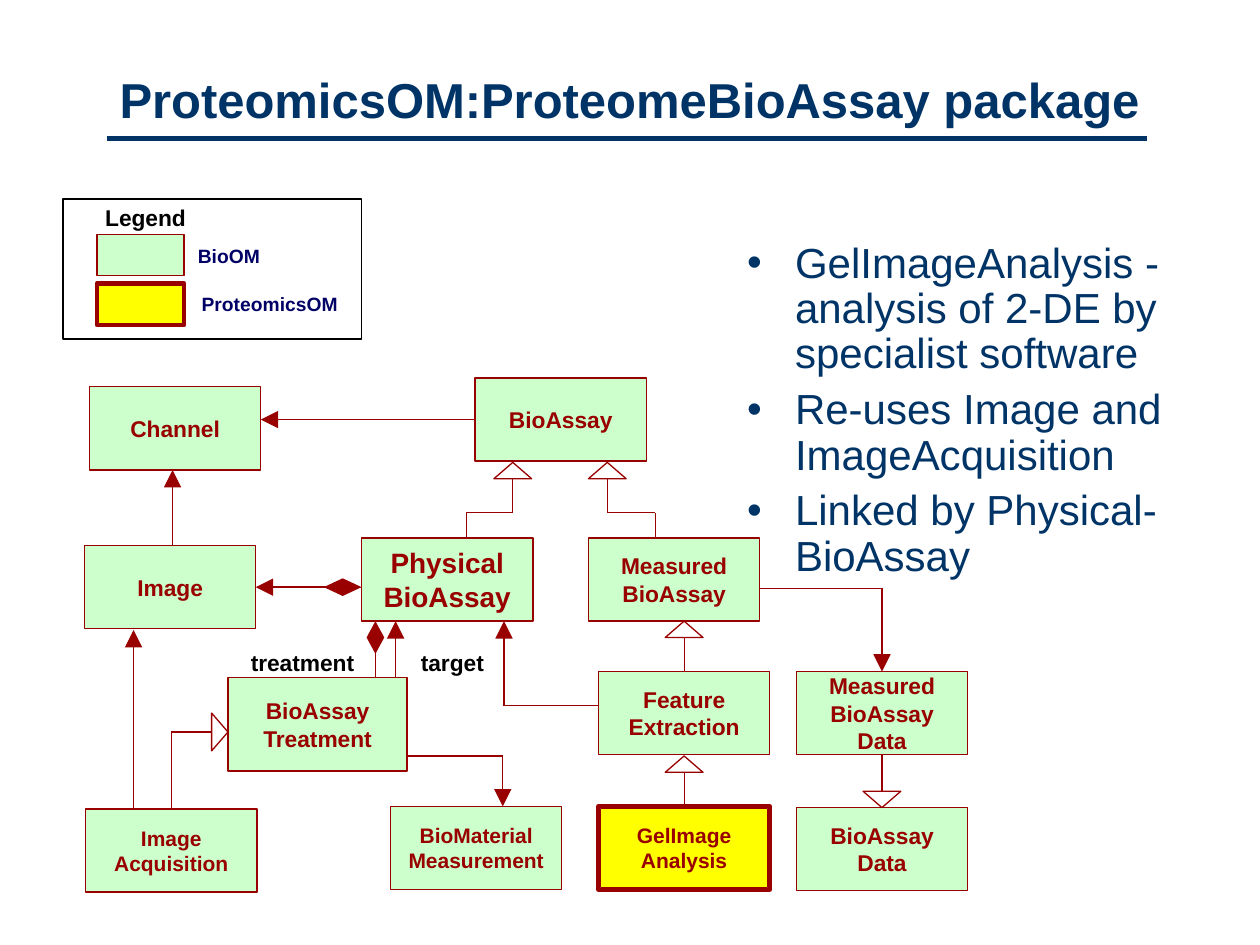
"""Build the ProteomeBioAssay package slide with its class diagram."""
from itertools import pairwise

from lxml import etree
from pptx import Presentation
from pptx.dml.color import RGBColor
from pptx.enum import shapes, text
from pptx.oxml.ns import qn
from pptx.util import Inches, Pt

COLORS = {"navy": "003366", "label": "000066", "red": "990000", "green": "CCFFCC",
          "yellow": "FFFF00", "black": "000000"}
TITLE = "ProteomicsOM:ProteomeBioAssay package"
BULLETS = ["GelImageAnalysis - analysis of 2-DE by specialist software",
           "Re-uses Image and ImageAcquisition",
           "Linked by Physical-BioAssay"]
BOX_W, BOX_H = 1.36, 0.66
CLASSES = [
    ("Channel", 0.71, 3.07, {}),
    ("BioAssay", 3.77, 3.0, {}),
    ("Image", 0.67, 4.33, {}),
    ("Physical BioAssay", 2.87, 4.27, {"size": 16}),
    ("Measured BioAssay", 4.67, 4.27, {}),
    ("BioAssay Treatment", 1.81, 5.38, {"w": 1.42, "h": 0.74}),
    ("Feature Extraction", 4.75, 5.33, {}),
    ("Measured BioAssay\nData", 6.32, 5.33, {}),
    ("Image Acquisition", 0.68, 6.42, {"size": 12}),
    ("BioMaterial Measurement", 3.1, 6.4, {"size": 12}),
    ("GelImage Analysis", 4.75, 6.4, {"size": 12, "fill": "yellow", "line": 2.75}),
    ("BioAssay Data", 6.32, 6.41, {}),
]
LEGEND = [("BioOM", 1.86, "green", 0.75, (1.56, 1.9, 0.52, 0.26)),
          ("ProteomicsOM", 2.25, "yellow", 2.75, (1.59, 2.28, 1.11, 0.26))]
ROLES = [("target", (3.25, 5.11, 0.67, 0.3)), ("treatment", (1.9, 5.11, 0.99, 0.3))]
INHERITANCE = [
    [(3.7, 4.27), (3.7, 4.07), (4.07, 4.07), (4.07, 3.8)],
    [(5.2, 4.27), (5.2, 4.07), (4.82, 4.07), (4.82, 3.8)],
    [(5.43, 5.33), (5.43, 5.06)],
    [(5.43, 6.4), (5.43, 6.13)],
    [(7.0, 5.99), (7.0, 6.28)],
    [(1.36, 6.42), (1.36, 5.81), (1.68, 5.81)],
]
ASSOCIATIONS = [
    [(3.77, 3.33), (2.07, 3.33)],
    [(1.37, 4.33), (1.37, 3.73)],
    [(2.72, 4.66), (2.03, 4.66)],
    [(1.06, 6.42), (1.06, 5.0)],
    [(3.14, 5.38), (3.14, 4.93)],
    [(4.75, 5.6), (4.0, 5.6), (4.0, 4.93)],
    [(6.03, 4.67), (7.0, 4.67), (7.0, 5.33)],
    [(3.23, 6.0), (3.99, 6.0), (3.99, 6.4)],
]
COMPOSITION = [(2.98, 5.38), (2.98, 5.14)]
DIAMONDS = [(2.72, 4.66, 0.15, 0.07), (2.98, 5.06, 0.07, 0.13)]
HEAD_LENGTH, HEAD_HALF = 0.13, 0.15


def rgb(name):
    return RGBColor.from_string(COLORS[name])


def inches(values):
    return [Inches(v) for v in values]


def write(s, value, size=13, color="red", bold=True, align=text.PP_ALIGN.CENTER,
          anchor=text.MSO_ANCHOR.MIDDLE, wrap=True, inset=(0.09, 0.02)):
    tf = s.text_frame
    tf.text = value
    tf.word_wrap, tf.auto_size, tf.vertical_anchor = wrap, text.MSO_AUTO_SIZE.NONE, anchor
    tf.margin_left = tf.margin_right = Inches(inset[0])
    tf.margin_top = tf.margin_bottom = Inches(inset[1])
    for p in tf.paragraphs:
        p.alignment = align
        for r in p.runs:
            r.font.name, r.font.size, r.font.bold = "Arial", Pt(size), bold
            r.font.color.rgb = rgb(color)
    return tf


def place(s, box):
    s.left, s.top, s.width, s.height = inches(box)


def style(s, fill=None, line="red", width=0.75):
    s.shadow.inherit = False
    if fill:
        s.fill.solid()
        s.fill.fore_color.rgb = rgb(fill)
    else:
        s.fill.background()
    if line:
        s.line.color.rgb = rgb(line)
        s.line.width = Pt(width)
    else:
        s.line.fill.background()
    return s


def add_box(sp, box, **fmt):
    return style(sp.add_shape(shapes.MSO_SHAPE.RECTANGLE, *inches(box)), **fmt)


def add_label(sp, value, box, **fmt):
    write(sp.add_textbox(*inches(box)), value, wrap=False, **fmt)


def add_polygon(sp, points, **fmt):
    first, *rest = [tuple(inches(pt)) for pt in points]
    builder = sp.build_freeform(*first)
    builder.add_line_segments(rest, close=True)
    style(builder.convert_to_shape(), **fmt)


def find_side(boxes, point):
    x, y = inches(point)
    for s in boxes:
        cx, cy = s.left + s.width // 2, s.top + s.height // 2
        sides = [(cx, s.top), (s.left, cy), (cx, s.top + s.height), (s.left + s.width, cy)]
        for i, (sx, sy) in enumerate(sides):
            if max(abs(sx - x), abs(sy - y)) < Inches(0.005):
                return s, i
    return None


def add_line(sp, start, end, boxes=(), color="red", width=0.75, arrow=False):
    c = sp.add_connector(shapes.MSO_CONNECTOR.STRAIGHT, *inches(start + end))
    c.line.color.rgb, c.line.width = rgb(color), Pt(width)
    if arrow:
        etree.SubElement(c.line._get_or_add_ln(), qn("a:tailEnd"), type="triangle", w="lg", len="lg")
    etree.SubElement(c._element.spPr, qn("a:effectLst"))
    for point, connect in ((start, c.begin_connect), (end, c.end_connect)):
        side = find_side(boxes, point)
        if side:
            connect(*side)


def add_route(sp, route, boxes, arrow=False):
    for start, end in pairwise(route):
        add_line(sp, start, end, boxes, arrow=arrow and end == route[-1])


def add_hollow_head(sp, route):
    (x0, y0), (x, y) = route[-2:]
    dx, dy = (x > x0) - (x < x0), (y > y0) - (y < y0)
    add_polygon(sp, [(x + dx * HEAD_LENGTH, y + dy * HEAD_LENGTH),
                     (x + dy * HEAD_HALF, y + dx * HEAD_HALF),
                     (x - dy * HEAD_HALF, y - dx * HEAD_HALF)])


def add_text(s):
    place(s.shapes.title, (0.7, 0.5, 8.59, 0.57))
    write(s.shapes.title, TITLE, size=28, color="navy", wrap=False,
          anchor=text.MSO_ANCHOR.TOP, inset=(0.1, 0.05))
    body = s.placeholders[1]
    place(body, (5.83, 1.87, 4.07, 3.86))
    tf = write(body, "\n".join(BULLETS), size=24, color="navy", bold=False,
               align=text.PP_ALIGN.LEFT, anchor=text.MSO_ANCHOR.TOP, inset=(0.1, 0.05))
    for i, p in enumerate(tf.paragraphs):
        p.line_spacing, p.space_before = 0.9, Pt(6 if i else 0)
        pPr = p._p.get_or_add_pPr()
        pPr.set("marL", str(Inches(0.38)))
        pPr.set("indent", str(Inches(-0.38)))
    add_line(s.shapes, (0.85, 1.1), (9.1, 1.1), color="navy", width=3)


def add_legend(sp):
    add_box(sp, (0.5, 1.58, 2.37, 1.11), line="black")
    add_label(sp, "Legend", (0.82, 1.58, 0.67, 0.29), color="black", inset=(0.01, 0.04))
    for name, top, fill, width, box in LEGEND:
        add_box(sp, (0.77, top, 0.69, 0.33), fill=fill, width=width)
        add_label(sp, name, box, size=11, color="label",
                  align=text.PP_ALIGN.LEFT, inset=(0.01, 0.04))


def add_diagram(sp):
    boxes = []
    for name, x, y, o in CLASSES:
        s = add_box(sp, (x, y, o.get("w", BOX_W), o.get("h", BOX_H)),
                    fill=o.get("fill", "green"), width=o.get("line", 0.75))
        write(s, name, size=o.get("size", 13))
        boxes.append(s)
    for route in INHERITANCE:
        add_route(sp, route, boxes)
        add_hollow_head(sp, route)
    for route in ASSOCIATIONS:
        add_route(sp, route, boxes, arrow=True)
    add_route(sp, COMPOSITION, boxes)
    for x, y, dx, dy in DIAMONDS:
        add_polygon(sp, [(x, y - dy), (x + dx, y), (x, y + dy), (x - dx, y)], fill="red", line=None)
    for name, box in ROLES:
        add_label(sp, name, box, color="black", align=text.PP_ALIGN.LEFT, inset=(0.09, 0.04))


def main():
    prs = Presentation()
    prs.slide_width, prs.slide_height = Inches(10), Inches(7.5)
    s = prs.slides.add_slide(prs.slide_layouts[1])
    add_text(s)
    add_legend(s.shapes)
    add_diagram(s.shapes)
    prs.save("out.pptx")


if __name__ == "__main__":
    main()
